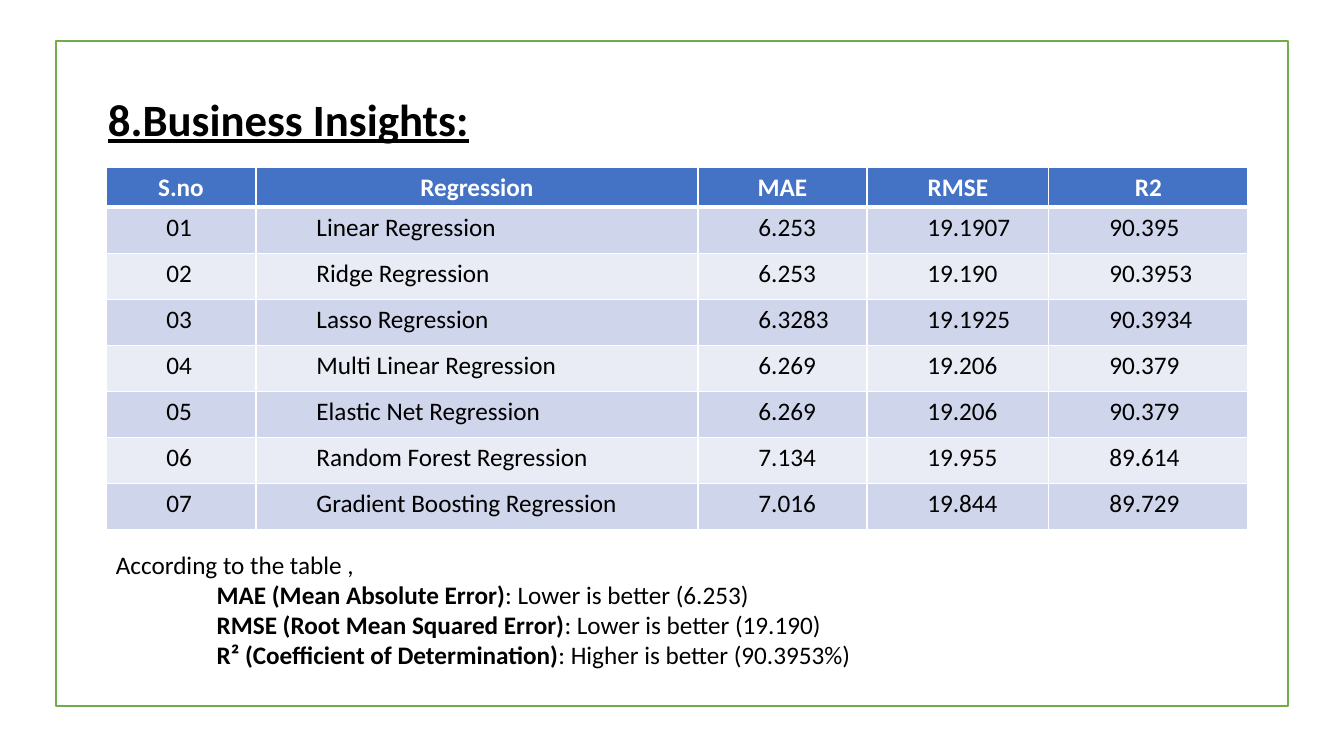
"""Build the Business Insights slide comparing regression models."""
from lxml.etree import SubElement
from pptx import Presentation
from pptx.dml.color import RGBColor
from pptx.enum.shapes import MSO_SHAPE
from pptx.enum.text import MSO_AUTO_SIZE, PP_ALIGN
from pptx.oxml.ns import qn
from pptx.util import Emu, Pt

PX = 12192000 / 1344
COLORS = {"white": "FFFFFF", "black": "000000", "frame": "70AD47",
          "header": "4472C4", "odd": "CFD5EA", "even": "E9EBF5"}
COLUMN_WIDTHS = [150, 442, 169, 182, 199]
HEADER_HEIGHT, ROW_HEIGHT = 37, 46
ROWS = [
    ("S.no", "Regression", "MAE", "RMSE", "R2"),
    ("01", "Linear Regression", "6.253", "19.1907", "90.395"),
    ("02", "Ridge Regression", "6.253", "19.190", "90.3953"),
    ("03", "Lasso Regression", "6.3283", "19.1925", "90.3934"),
    ("04", "Multi Linear Regression", "6.269", "19.206", "90.379"),
    ("05", "Elastic Net Regression", "6.269", "19.206", "90.379"),
    ("06", "Random Forest Regression", "7.134", "19.955", "89.614"),
    ("07", "Gradient Boosting Regression", "7.016", "19.844", "89.729"),
]
NOTES = [
    ("", "According to the table ,"),
    ("MAE (Mean Absolute Error)", ": Lower is better (6.253)"),
    ("RMSE (Root Mean Squared Error)", ": Lower is better (19.190)"),
    ("R² (Coefficient of Determination)", ": Higher is better (90.3953%)"),
]


def px(*lengths):
    return [Emu(round(length * PX)) for length in lengths]


def add_span(para, text, size=18, color="black", bold=False):
    span = para.add_run()
    span.text = text
    span.font.name = "Calibri"
    span.font.size = Pt(size)
    span.font.bold = bold
    span.font.color.rgb = RGBColor.from_string(COLORS[color])
    return span


deck = Presentation()
deck.slide_width, deck.slide_height = px(1344, 756)
page = deck.slides.add_slide(deck.slide_layouts[6])

frame = page.shapes.add_shape(MSO_SHAPE.RECTANGLE, *px(56, 41, 1232, 665))
frame.shadow.inherit = False
frame.fill.solid()
frame.fill.fore_color.rgb = RGBColor.from_string(COLORS["white"])
frame.line.color.rgb = RGBColor.from_string(COLORS["frame"])
frame.line.width = Pt(1)

title_box = page.shapes.add_textbox(*px(98, 87, 1099, 64))
notes_box = page.shapes.add_textbox(*px(106, 544, 1118, 163))
for box in (title_box, notes_box):
    box.text_frame.word_wrap = True
    box.text_frame.auto_size = MSO_AUTO_SIZE.SHAPE_TO_FIT_TEXT

title = add_span(title_box.text_frame.paragraphs[0], "8.Business Insights:", 32, bold=True)
title.font.underline = True

for index, (term, meaning) in enumerate(NOTES):
    para = notes_box.text_frame.add_paragraph() if index else notes_box.text_frame.paragraphs[0]
    if term:
        para._p.get_or_add_pPr().set("marL", "914400")
        add_span(para, term, bold=True)
    add_span(para, meaning)

table_height = HEADER_HEIGHT + ROW_HEIGHT * (len(ROWS) - 1)
table = page.shapes.add_table(len(ROWS), len(COLUMN_WIDTHS),
                              *px(106, 167, sum(COLUMN_WIDTHS), table_height)).table
for column, width in zip(table.columns, px(*COLUMN_WIDTHS)):
    column.width = width

for row_index, values in enumerate(ROWS):
    is_header = row_index == 0
    table.rows[row_index].height = px(HEADER_HEIGHT if is_header else ROW_HEIGHT)[0]
    fill = "header" if is_header else "odd" if row_index % 2 else "even"
    border_widths = {"L": 1, "R": 1, "T": 3 if row_index == 1 else 1, "B": 3 if is_header else 1}
    for column_index, value in enumerate(values):
        cell = table.cell(row_index, column_index)
        for side, width in border_widths.items():
            border = SubElement(cell._tc.get_or_add_tcPr(), qn(f"a:ln{side}"), w=str(Pt(width)))
            paint = SubElement(border, qn("a:solidFill"))
            SubElement(paint, qn("a:srgbClr"), val=COLORS["white"])
        cell.fill.solid()
        cell.fill.fore_color.rgb = RGBColor.from_string(COLORS[fill])
        para = cell.text_frame.paragraphs[0]
        para.space_before = Pt(0.5)
        if is_header:
            para.alignment = PP_ALIGN.CENTER
        else:
            para.level = 1
            para._p.get_or_add_pPr().set("marL", "457200")
        add_span(para, value, color="white" if is_header else "black", bold=is_header)

deck.save("out.pptx")
